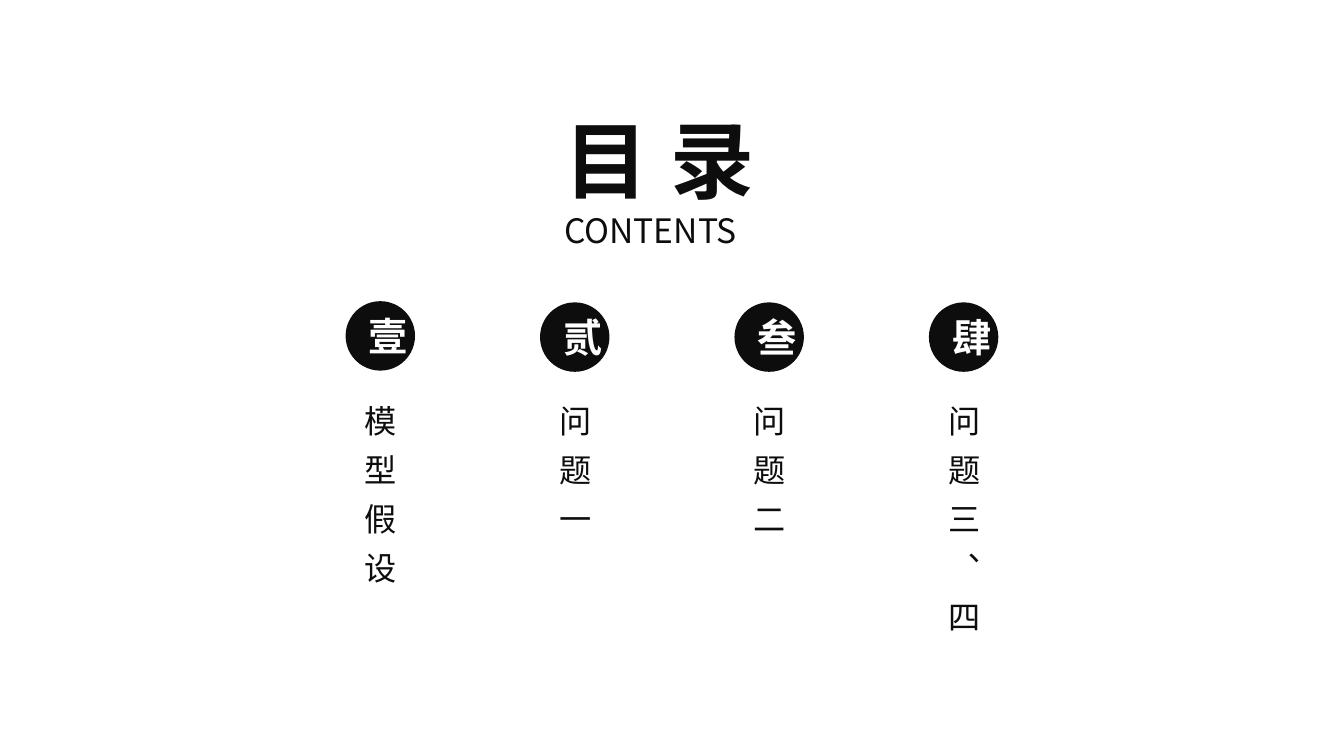
from lxml import etree
from pptx import Presentation
from pptx.dml.color import RGBColor
from pptx.enum.shapes import MSO_SHAPE
from pptx.enum.text import MSO_ANCHOR, MSO_AUTO_SIZE, PP_ALIGN
from pptx.oxml.ns import qn
from pptx.util import Cm, Pt

OVAL = MSO_SHAPE.OVAL
MIDDLE = MSO_ANCHOR.MIDDLE
CENTER = PP_ALIGN.CENTER
FIT_SHAPE = MSO_AUTO_SIZE.SHAPE_TO_FIT_TEXT

FONT = "Noto Sans CJK SC"
COLORS = {"ink": "0D0D0D", "paper": "FFFFFF"}

# Numeral, heading, circle top and heading height in cm
CHAPTERS = [
    ("壹", "模型假设", 7.59, 5.56),
    ("贰", "问题一", 7.62, 7.24),
    ("叁", "问题二", 7.62, 7.24),
    ("肆", "问题三、四", 7.62, 7.24),
]
FIRST_LEFT, PITCH = 8.71, 4.9
CIRCLE_SIZE = 1.75
HEADING_INDENT, HEADING_TOP, HEADING_WIDTH = 0.1, 10.21, 1.52


def style_text(paragraph, size, color, bold=False, spacing=0):
    """Format every run, with letter spacing in points."""
    for run in paragraph.runs:
        run.font.name = FONT
        run.font.size = Pt(size)
        run.font.bold = bold
        run.font.color.rgb = RGBColor.from_string(COLORS[color])
        properties = run.font._element
        properties.set("spc", str(spacing * 100))
        etree.SubElement(properties, qn("a:ea"), typeface=FONT)


prs = Presentation()
prs.slide_width, prs.slide_height = Cm(33.87), Cm(19.05)
slide = prs.slides.add_slide(prs.slide_layouts[6])

for index, (numeral, heading, circle_top, heading_height) in enumerate(CHAPTERS):
    left = FIRST_LEFT + index * PITCH

    heading_box = slide.shapes.add_textbox(
        Cm(left + HEADING_INDENT), Cm(HEADING_TOP), Cm(HEADING_WIDTH), Cm(heading_height))
    frame = heading_box.text_frame
    frame.text = heading
    frame.word_wrap = True
    frame.vertical_anchor = MIDDLE
    frame.margin_left = frame.margin_right = frame.margin_top = frame.margin_bottom = 0
    frame._txBody.bodyPr.set("vert", "eaVert")
    style_text(frame.paragraphs[0], 23, "ink", spacing=12)

    circle = slide.shapes.add_shape(
        OVAL, Cm(left), Cm(circle_top), Cm(CIRCLE_SIZE), Cm(CIRCLE_SIZE))
    circle.shadow.inherit = False
    circle.fill.solid()
    circle.fill.fore_color.rgb = RGBColor.from_string(COLORS["ink"])
    circle.line.fill.background()
    frame = circle.text_frame
    frame.text = numeral
    frame.vertical_anchor = MIDDLE
    frame.margin_left = frame.margin_right = Cm(0.33)
    frame.margin_top = frame.margin_bottom = Cm(0.17)
    frame.paragraphs[0].alignment = CENTER
    style_text(frame.paragraphs[0], 28, "paper", bold=True)

title_box = slide.shapes.add_textbox(Cm(13.97), Cm(2.62), Cm(5.94), Cm(3.84))
frame = title_box.text_frame
frame.text = "目录\nCONTENTS"
frame.word_wrap = False
frame.auto_size = FIT_SHAPE
title, subtitle = frame.paragraphs
style_text(title, 60, "ink", bold=True, spacing=16)
style_text(subtitle, 24, "ink")

prs.save("out.pptx")
